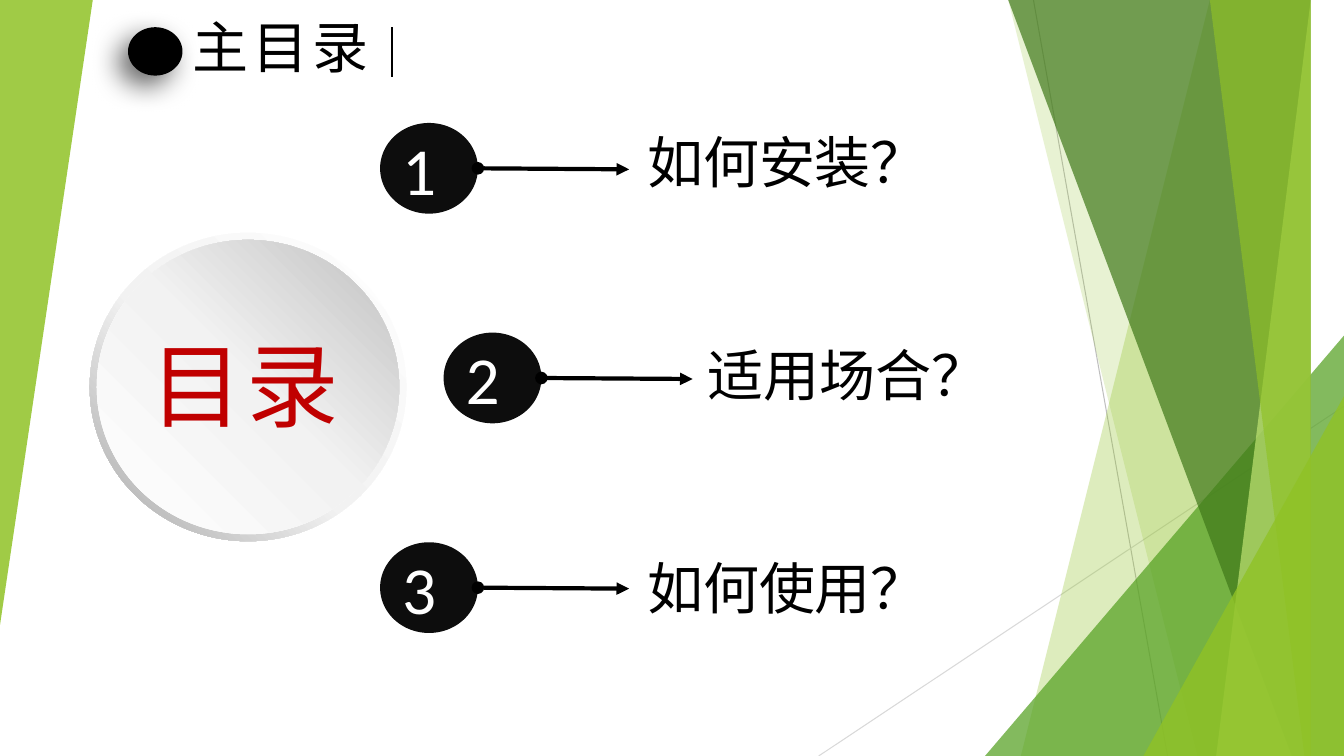
from pptx import Presentation
from pptx.dml.color import RGBColor
from pptx.enum.shapes import MSO_CONNECTOR, MSO_SHAPE
from pptx.enum.text import MSO_ANCHOR, MSO_AUTO_SIZE, PP_ALIGN
from pptx.oxml import parse_xml
from pptx.oxml.ns import nsdecls, qn
from pptx.util import Inches, Pt
from lxml import etree

STRAIGHT = MSO_CONNECTOR.STRAIGHT
ELLIPSE, DONUT = MSO_SHAPE.OVAL, MSO_SHAPE.DONUT
TRIANGLE = MSO_SHAPE.ISOSCELES_TRIANGLE
TOP, LEFT, NO_FIT = MSO_ANCHOR.TOP, PP_ALIGN.LEFT, MSO_AUTO_SIZE.NONE

WIDTH, HEIGHT = 13.33, 7.5
GREEN, BLACK, NEAR_BLACK = "90C226", "000000", "0D0D0D"
HAN, HAN_HEAVY, LATIN = "Noto Sans CJK SC", "Noto Sans CJK JP", "Calibri"


def colour(value):
    return RGBColor.from_string(value)


def add_child(parent, tag, **attributes):
    child = etree.SubElement(parent, qn(tag))
    for name, value in attributes.items():
        child.set(name, str(value))
    return child


def paint(shape, fill, opacity=100):
    """Give a shape a flat fill with no line and no shadow."""
    shape.shadow.inherit = False
    shape.line.fill.background()
    shape.fill.solid()
    shape.fill.fore_color.rgb = colour(fill)
    if opacity < 100:
        tint = shape._element.spPr.find(".//" + qn("a:srgbClr"))
        add_child(tint, "a:alpha", val=opacity * 1000)


def add_preset(page, kind, box, fill, opacity=100, adjust=None):
    shape = page.shapes.add_shape(kind, *map(Inches, box))
    paint(shape, fill, opacity)
    if adjust is not None:
        shape.adjustments[0] = adjust
    return shape


def shade(shape, stops, angle):
    """Swap the flat fill for a linear gradient."""
    gradient = parse_xml(f"<a:gradFill {nsdecls('a')} rotWithShape='1'/>")
    stop_list = add_child(gradient, "a:gsLst")
    for position, value in stops:
        stop = add_child(stop_list, "a:gs", pos=position * 1000)
        add_child(stop, "a:srgbClr", val=value)
    add_child(gradient, "a:lin", ang=angle * 60000, scaled=0)
    properties = shape._element.spPr
    properties.replace(properties.find(qn("a:solidFill")), gradient)


def add_line(page, start, end, line_colour, width):
    line = page.shapes.add_connector(STRAIGHT, *map(Inches, (*start, *end)))
    line.line.color.rgb = colour(line_colour)
    line.line.width = Pt(width)
    add_child(line._element.spPr, "a:effectLst")
    return line


def write(shape, text, size, font, text_colour, spacing=0, wrap=True):
    frame = shape.text_frame
    frame.auto_size, frame.word_wrap = NO_FIT, wrap
    frame.vertical_anchor = TOP
    para = frame.paragraphs[0]
    para.text, para.alignment = text, LEFT
    para.font.size, para.font.name = Pt(size), font
    para.font.color.rgb = colour(text_colour)
    properties = para._p.get_or_add_pPr().get_or_add_defRPr()
    properties.set("spc", str(spacing * 100))
    add_child(properties, "a:ea", typeface=font)


def add_text(page, box, *args, **options):
    write(page.shapes.add_textbox(*map(Inches, box)), *args, **options)


# Green facets along both edges
def draw_backdrop(page, width, height):
    add_line(page, (10.25, 0), (11.58, height), "BFBFBF", 0.75)
    add_line(page, (width, 4.03), (8.12, height), "D9D9D9", 0.75)

    def add_facet(top_left, bottom_left, fill, opacity):
        """A panel with a slanted left side, reaching the right edge."""
        builder = page.shapes.build_freeform(top_left, 0, Inches(1))
        builder.add_line_segments(
            [(width, 0), (width, height), (bottom_left, height)])
        paint(builder.convert_to_shape(), fill, opacity)

    def add_corner(left, top, fill, opacity):
        """A right triangle in the bottom right corner."""
        box = (left, top, width - left, height - top)
        add_preset(page, TRIANGLE, box, fill, opacity, 1)

    add_facet(12.28, 10.04, GREEN, 30)
    add_facet(10.5, 11.83, GREEN, 20)
    add_corner(9.77, 3.33, "54A021", 72)
    add_facet(10.21, 12.91, "3F7819", 70)
    add_facet(13.03, 11.92, "C0E474", 70)
    add_facet(11.96, 13.18, GREEN, 65)
    add_corner(11.34, 3.93, GREEN, 80)
    wedge = add_preset(page, TRIANGLE, (0, 0, 0.92, 6.2), GREEN, 85, 1)
    wedge.rotation = 180


# Large disc with a shaded rim
def draw_hub(page, left, top, width, height):
    rim = add_preset(page, DONUT, (left, top, width, height), "F2F2F2",
                     adjust=0.049)
    shade(rim, [(0, "FFFFFF"), (55, "F2F2F2"), (100, "A6A6A6")], 135)
    inset = 0.07
    face = add_preset(page, ELLIPSE, (left + inset, top + inset,
                      width - 2 * inset, height - 2 * inset), "F2F2F2")
    shade(face, [(0, "FFFFFF"), (51, "F2F2F2"), (100, "BFBFBF")], 315)
    add_text(page, (left + 0.5, top + 0.9, 2.14, 1.21), "目录", 66,
             HAN_HEAVY, "C00000", spacing=3, wrap=False)


# Numbered disc, arrow and label
def draw_entry(page, left, top, number, label, label_left, label_top):
    width, height = 0.97, 0.9
    add_preset(page, ELLIPSE, (left, top, width, height), NEAR_BLACK)
    add_text(page, (left + 0.12, top, 0.77, 0.91), str(number), 48, LATIN,
             "FFFFFF")
    start_x, start_y = left + width, top + height / 2
    arrow = add_line(page, (start_x, start_y), (start_x + 1.5, start_y + 0.01),
                     BLACK, 3)
    stroke = arrow.line._get_or_add_ln()
    add_child(stroke, "a:headEnd", type="oval")
    add_child(stroke, "a:tailEnd", type="triangle")
    add_text(page, (label_left, label_top, 3.36, 0.77), label, 40, HAN, BLACK)


# Heading with a shadowed dot and a closing bar
def draw_heading(page, left, top):
    dot = add_preset(page, ELLIPSE, (left, top, 0.54, 0.48), BLACK)
    shadow = add_child(dot._element.spPr.find(qn("a:effectLst")),
                       "a:outerShdw", blurRad=Pt(20), dist=Pt(10),
                       dir=135 * 60000, algn="tr", rotWithShape=0)
    add_child(add_child(shadow, "a:srgbClr", val=BLACK), "a:alpha", val=60000)
    title = page.shapes.title
    title.left, title.top = Inches(left + 0.54), Inches(top - 0.2)
    title.width, title.height = Inches(2.4), Inches(0.77)
    write(title, "主目录", 40, HAN, BLACK, spacing=3)
    bar_x = left + 2.62
    add_line(page, (bar_x, top), (bar_x, top + 0.49), BLACK, 1.5)


def main():
    deck = Presentation()
    deck.slide_width, deck.slide_height = Inches(WIDTH), Inches(HEIGHT)
    page = deck.slides.add_slide(deck.slide_layouts[5])
    draw_backdrop(page, WIDTH, HEIGHT)
    draw_hub(page, 0.89, 2.31, 3.14, 3.06)
    entries = [("如何安装？", 3.77, 6.32), ("适用场合？", 4.4, 6.92),
               ("如何使用？", 3.77, 6.32)]
    for index, (label, left, label_left) in enumerate(entries):
        draw_entry(page, left, 1.22 + 2.08 * index, index + 1, label,
                   label_left, 1.22 + 2.11 * index)
    draw_heading(page, 1.27, 0.27)
    deck.save("out.pptx")


if __name__ == "__main__":
    main()
